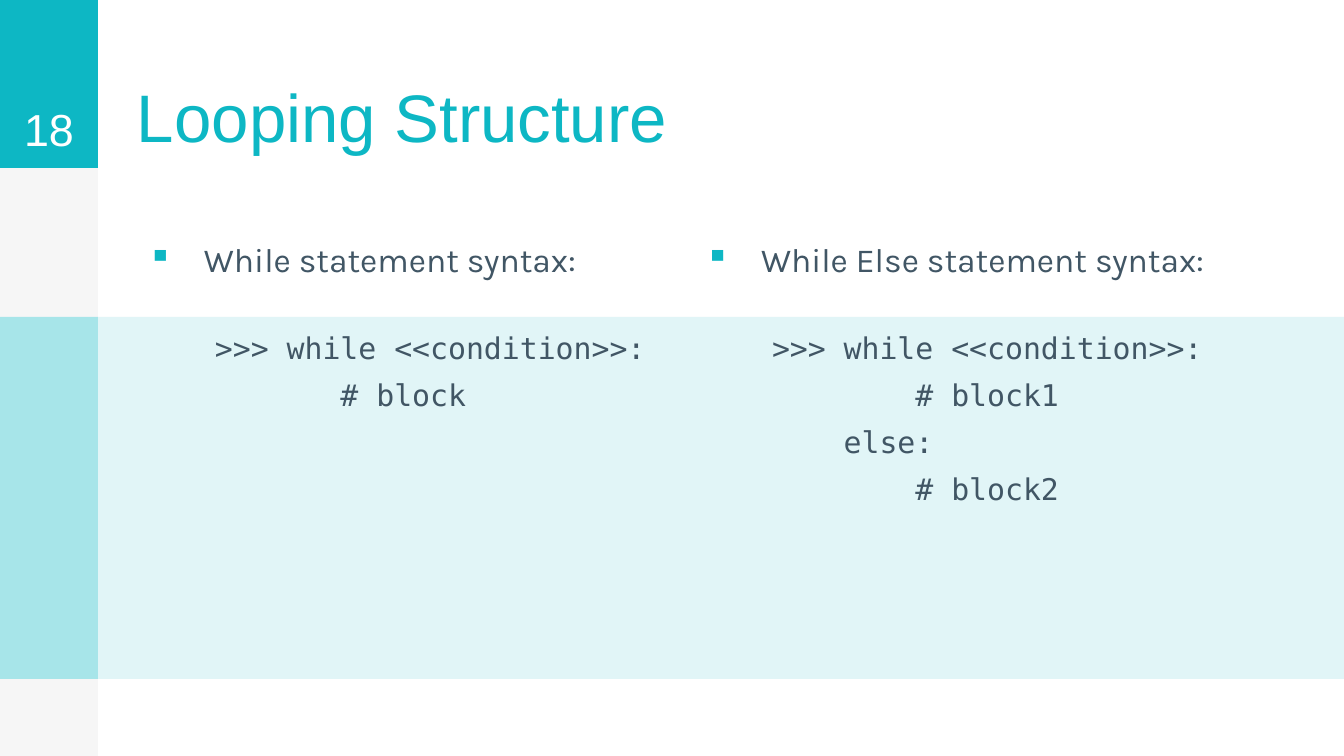
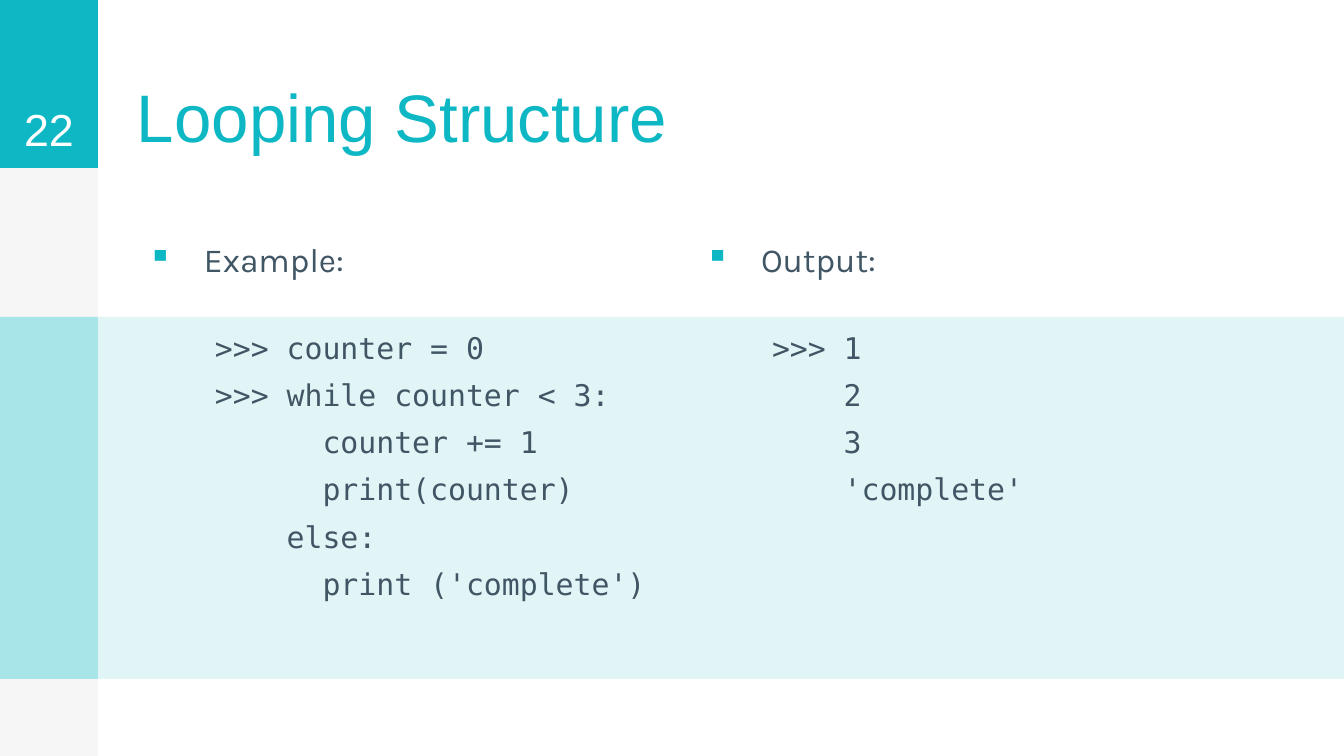
from lxml.etree import SubElement
from pptx import Presentation
from pptx.dml.color import RGBColor
from pptx.enum.shapes import MSO_SHAPE
from pptx.enum.text import MSO_ANCHOR, PP_ALIGN
from pptx.oxml.ns import qn
from pptx.util import Emu, Pt

TEAL = RGBColor(0x0D, 0xB7, 0xC4)
PALE_TEAL = RGBColor(0xA7, 0xE5, 0xE9)
ICE = RGBColor(0xE1, 0xF5, 0xF7)
GREY = RGBColor(0xF6, 0xF6, 0xF6)
SLATE = RGBColor(0x41, 0x56, 0x65)
WHITE = RGBColor(0xFF, 0xFF, 0xFF)

SANS, BODY, MONO = "Arial", "Karla", "DejaVu Sans Mono"
SCALE = 914400 / 134.4
WIDTH, HEIGHT = 1344, 756
RAIL, HEADER = 98, 168
BAND_TOP, BAND_HEIGHT = 317, 362
LEFT, COLUMN_STEP, COLUMN_WIDTH = 124, 557, 560
INSET = 13

SLIDES = [
    (18, "Looping Structure", [
        ("While statement syntax:", [
            ">>> while <<condition>>:",
            "       # block",
        ]),
        ("While Else statement syntax:", [
            ">>> while <<condition>>:",
            "        # block1",
            "    else:",
            "        # block2",
        ]),
    ]),
    (22, "Looping Structure", [
        ("Example:", [
            ">>> counter = 0",
            ">>> while counter < 3:",
            "      counter += 1",
            "      print(counter)",
            "    else:",
            "      print ('complete')",
        ]),
        ("Output:", [
            ">>> 1",
            "    2",
            "    3",
            "    'complete'",
        ]),
    ]),
]


def px(n):
    """Turn pixels into EMU."""
    return Emu(round(n * SCALE))


def add_rect(s, x, y, w, h, color):
    """Add a plain filled rectangle."""
    sp = s.shapes.add_shape(MSO_SHAPE.RECTANGLE, px(x), px(y), px(w), px(h))
    sp.shadow.inherit = False
    sp.fill.solid()
    sp.fill.fore_color.rgb = color
    sp.line.fill.background()
    return sp


def setup_frame(sp, anchor):
    """Give a shape's text frame the shared insets and an anchor."""
    tf = sp.text_frame
    tf.word_wrap = True
    tf.vertical_anchor = anchor
    tf.margin_left = tf.margin_right = px(INSET)
    tf.margin_top = tf.margin_bottom = px(INSET)
    return tf


def add_text(s, x, y, w, h, anchor=MSO_ANCHOR.TOP):
    """Add a text box and return its text frame."""
    return setup_frame(s.shapes.add_textbox(px(x), px(y), px(w), px(h)), anchor)


def add_run(p, text, font, size, color):
    """Add one styled run to a paragraph."""
    r = p.add_run()
    r.text = text
    r.font.name = font
    r.font.size = Pt(size)
    r.font.color.rgb = color


def indent(p, left, first=0):
    """Set the left margin and first-line indent of a paragraph."""
    pPr = p._p.get_or_add_pPr()
    pPr.set("marL", str(px(left)))
    pPr.set("indent", str(px(first)))
    return pPr


def add_bullet(pPr, char, color):
    """Give a paragraph a coloured bullet."""
    clr = SubElement(pPr, qn("a:buClr"))
    SubElement(clr, qn("a:srgbClr")).set("val", str(color))
    SubElement(pPr, qn("a:buChar")).set("char", char)


def add_rail(s, number):
    """Draw the left rail with the slide number."""
    add_rect(s, 0, 0, RAIL, HEIGHT, GREY)
    tf = setup_frame(add_rect(s, 0, 0, RAIL, HEADER, TEAL), MSO_ANCHOR.BOTTOM)
    p = tf.paragraphs[0]
    p.alignment = PP_ALIGN.CENTER
    add_run(p, str(number), SANS, 24, WHITE)


def add_title(s, title):
    """Write the slide title."""
    tf = add_text(s, LEFT, 1, 1121, HEADER, MSO_ANCHOR.BOTTOM)
    add_run(tf.paragraphs[0], title, SANS, 36, TEAL)


def add_band(s, y, h):
    """Draw the band behind the code."""
    add_rect(s, RAIL, y, WIDTH - RAIL, h, ICE)
    add_rect(s, 0, y, RAIL, h, PALE_TEAL)


def add_column(s, x, w, heading, code):
    """Write a bulleted heading with its code lines below."""
    p = add_text(s, x, 226, w, 499).paragraphs[0]
    add_bullet(indent(p, 67, -56), "▪", TEAL)
    add_run(p, heading, BODY, 18, SLATE)

    tf = add_text(s, x, BAND_TOP, w, BAND_HEIGHT)
    for i, line in enumerate(code):
        p = tf.add_paragraph() if i else tf.paragraphs[0]
        p.level = 1
        indent(p, 78)
        if i:
            p.space_before = Pt(6)
        add_run(p, line, MONO, 16, SLATE)


def add_code_slide(prs, number, title, columns):
    """Build a slide with code columns side by side."""
    s = prs.slides.add_slide(prs.slide_layouts[6])
    add_rail(s, number)
    add_title(s, title)
    add_band(s, BAND_TOP, BAND_HEIGHT)
    for i, (heading, code) in enumerate(columns):
        add_column(s, LEFT + i * COLUMN_STEP, COLUMN_WIDTH, heading, code)


def main():
    """Build and save the presentation."""
    prs = Presentation()
    prs.slide_width, prs.slide_height = px(WIDTH), px(HEIGHT)
    for number, title, columns in SLIDES:
        add_code_slide(prs, number, title, columns)
    prs.save("out.pptx")


if __name__ == "__main__":
    main()
